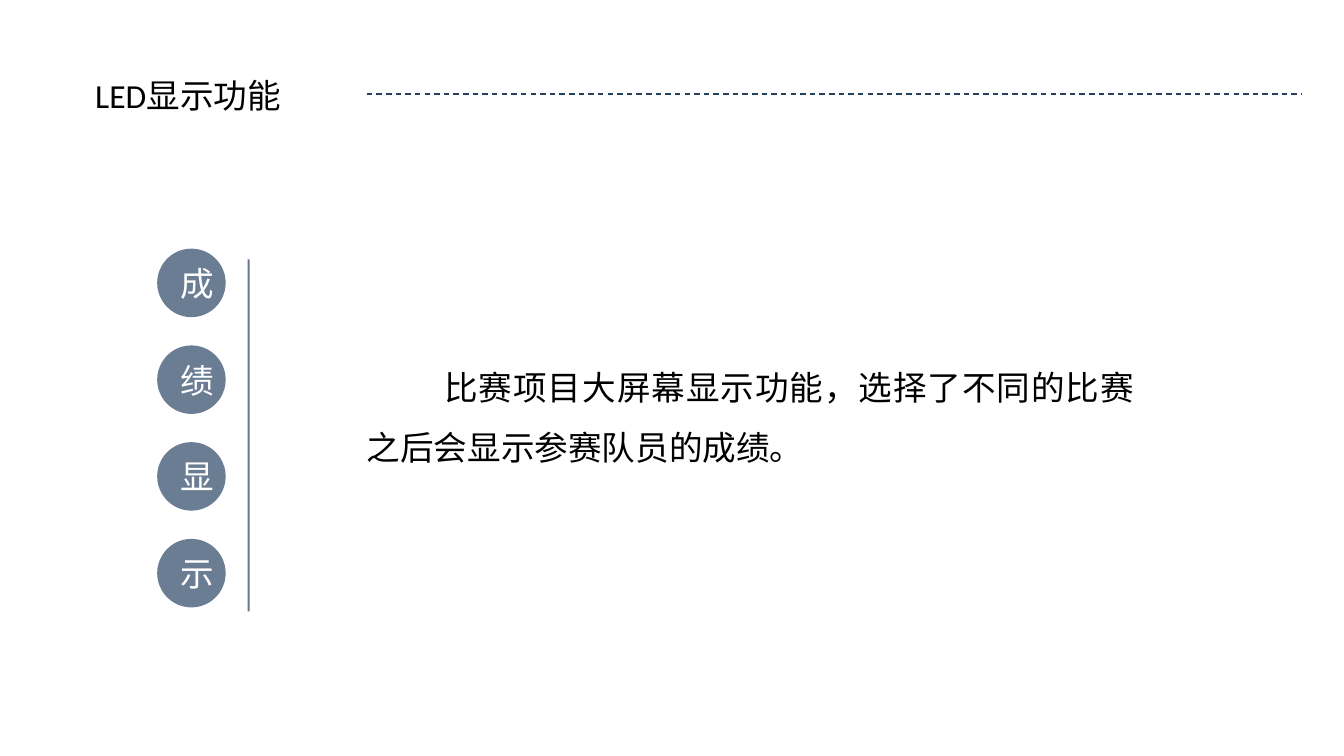
from lxml.etree import SubElement
from pptx import Presentation
from pptx.dml.color import RGBColor
from pptx.enum.dml import MSO_LINE
from pptx.enum.shapes import MSO_CONNECTOR, MSO_SHAPE
from pptx.enum.text import MSO_ANCHOR, PP_ALIGN
from pptx.oxml.ns import qn
from pptx.util import Pt

NAVY = RGBColor(0x25, 0x40, 0x61)
BLACK = RGBColor(0, 0, 0)
WHITE = RGBColor(255, 255, 255)
LATIN_FONT = "Calibri"
CHINESE_FONT = "Noto Sans CJK SC"
TEXT_SIZE = 18


def set_opacity(fill_parent, percent):
    """Make the solid fill directly inside an XML element translucent."""
    color = fill_parent.find(qn("a:solidFill"))[0]
    SubElement(color, qn("a:alpha"), val=str(percent * 1000))


def format_text(paragraph, color, latin_font):
    for run in paragraph.runs:
        run.font.size = Pt(TEXT_SIZE)
        run.font.color.rgb = color
        run.font.name = latin_font
        SubElement(run.font._element, qn("a:ea"), typeface=CHINESE_FONT)


def add_text(slide, text, left, top, width, height):
    text_frame = slide.shapes.add_textbox(
        Pt(left), Pt(top), Pt(width), Pt(height)).text_frame
    text_frame.word_wrap = True
    text_frame.text = text
    paragraph = text_frame.paragraphs[0]
    format_text(paragraph, BLACK, LATIN_FONT)
    return paragraph


def add_line(slide, start, end, weight):
    line = slide.shapes.add_connector(
        MSO_CONNECTOR.STRAIGHT, *(Pt(value) for value in (*start, *end)))
    line.line.color.rgb = NAVY
    line.line.width = Pt(weight)
    SubElement(line._element.spPr, qn("a:effectLst"))
    return line


def add_header(slide, title, left, top, width, height):
    title_width = 147.6
    add_text(slide, title, left, top, title_width, height)
    middle = top + height / 2 - 0.7
    rule = add_line(slide, (left + title_width + 5, middle),
                    (left + width, middle), 0.75)
    rule.line.dash_style = MSO_LINE.DASH


def add_vertical_label(slide, label, left, top, width, height):
    """Stack one circle per character, with a line along the right edge."""
    diameter = 36.7
    pitch = (height - diameter) / (len(label) - 1)
    for index, character in enumerate(label):
        circle = slide.shapes.add_shape(
            MSO_SHAPE.OVAL, Pt(left), Pt(top + index * pitch),
            Pt(diameter), Pt(diameter))
        circle.shadow.inherit = False
        circle.fill.solid()
        circle.fill.fore_color.rgb = NAVY
        set_opacity(circle._element.spPr, 68)
        circle.line.fill.background()
        text_frame = circle.text_frame
        text_frame.vertical_anchor = MSO_ANCHOR.MIDDLE
        text_frame.text = character
        paragraph = text_frame.paragraphs[0]
        paragraph.alignment = PP_ALIGN.CENTER
        format_text(paragraph, WHITE, CHINESE_FONT)
    right = left + width
    line = add_line(slide, (right, top + 5.8), (right, top + height + 2.2), 1)
    set_opacity(line.line._get_or_add_ln(), 69)


def add_description(slide, text, left, top, width, height):
    paragraph = add_text(slide, text, left, top, width, height)
    paragraph.alignment = PP_ALIGN.JUSTIFY
    paragraph.line_spacing = 1.5
    paragraph._p.get_or_add_pPr().set("indent", str(Pt(41.5)))


def main():
    presentation = Presentation()
    presentation.slide_width = Pt(720)
    presentation.slide_height = Pt(405)
    slide = presentation.slides.add_slide(presentation.slide_layouts[6])
    add_header(slide, "LED显示功能", 43.9, 36.7, 653.8, 28.8)
    add_vertical_label(slide, "成绩显示", 84.2, 133.2, 49, 192.2)
    add_description(
        slide, "比赛项目大屏幕显示功能，选择了不同的比赛之后会显示参赛队员的成绩。",
        189.4, 182.2, 425.5, 69.1)
    presentation.save("out.pptx")


if __name__ == "__main__":
    main()
